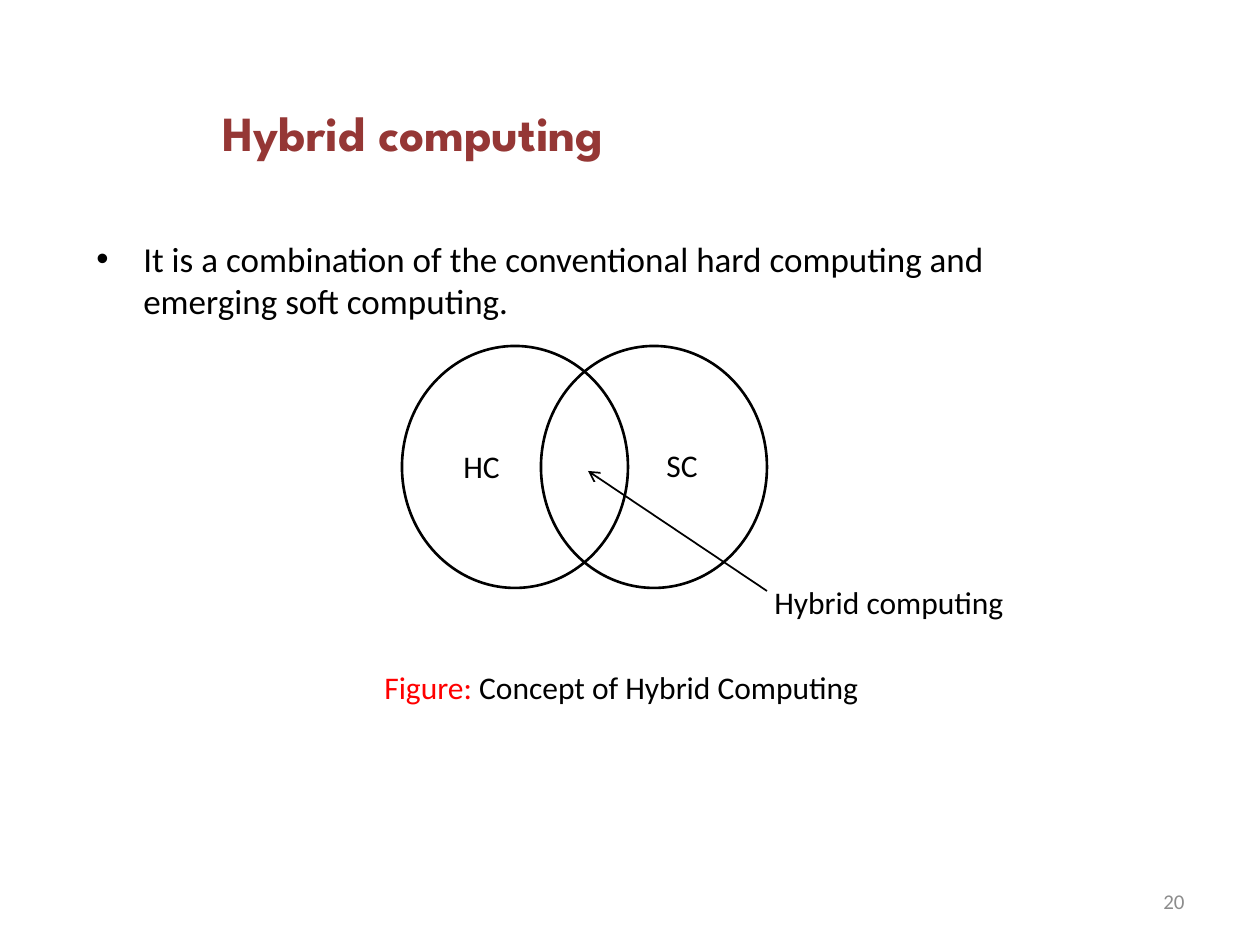
from dataclasses import dataclass
from lxml.etree import SubElement
from pptx import Presentation
from pptx.dml.color import RGBColor
from pptx.enum.shapes import MSO_CONNECTOR, MSO_SHAPE
from pptx.enum.text import MSO_ANCHOR, MSO_AUTO_SIZE, PP_ALIGN
from pptx.oxml.ns import qn
from pptx.util import Emu, Pt


@dataclass(frozen=True)
class Theme:
    ink: str = "000000"
    title: str = "953735"
    mark: str = "FF0000"
    mute: str = "8C8C8C"
    head: str = "League Spartan"
    body: str = "Calibri"
    big: int = 28
    mid: int = 20
    base: int = 18
    tiny: int = 12
    ring: float = 1.5
    thin: float = 1


LOOK = Theme()


def px(count):
    return Emu(round(count * 914400 / 126))


def apply(item, form):
    for name, value in form.items():
        setattr(item, name, value)


def place(shape, box):
    names = ("left", "top", "width", "height")
    apply(shape, dict(zip(names, map(px, box))))


def write(shape, runs, size, font=LOOK.body, bold=False,
          align=PP_ALIGN.LEFT, anchor=MSO_ANCHOR.TOP):
    frame = shape.text_frame
    apply(frame, {"word_wrap": True, "auto_size": MSO_AUTO_SIZE.NONE,
                  "vertical_anchor": anchor})
    para = frame.paragraphs[0]
    para.alignment = align
    for text, color in runs:
        run = para.add_run()
        run.text = text
        apply(run.font, {"name": font, "size": Pt(size), "bold": bold})
        run.font.color.rgb = RGBColor.from_string(color)
    return para


def label(slide, box, runs, size=LOOK.base, **form):
    shape = slide.shapes.add_textbox(*map(px, box))
    return write(shape, runs, size, **form)


def stroke(shape, width):
    shape.line.color.rgb = RGBColor.from_string(LOOK.ink)
    shape.line.width = Pt(width)


def heading(slide, box):
    title = slide.shapes.title
    place(title, box)
    write(title, [("Hybrid computing", LOOK.title)], LOOK.big,
          font=LOOK.head, bold=True)


def bullet(slide, box):
    text = ("It is a combination of the conventional hard computing and "
            "emerging soft computing.")
    para = label(slide, box, [(text, LOOK.ink)], LOOK.mid)
    props = para._p.get_or_add_pPr()
    props.set("marL", str(px(47)))
    props.set("indent", str(-px(47)))
    SubElement(props, qn("a:buFont"), typeface="Arial")
    SubElement(props, qn("a:buChar"), char="•")


def arrow(slide, start, end):
    line = slide.shapes.add_connector(
        MSO_CONNECTOR.STRAIGHT, *map(px, start + end))
    stroke(line, LOOK.thin)
    SubElement(line.line._get_or_add_ln(), qn("a:tailEnd"), type="arrow")
    SubElement(line._element.spPr, qn("a:effectLst"))


def venn(slide, box):
    left, top, width, height = box
    wide = 226
    for shift in (0, width - wide):
        ring = slide.shapes.add_shape(
            MSO_SHAPE.OVAL, *map(px, (left + shift, top, wide, height)))
        ring.shadow.inherit = False
        ring.fill.background()
        stroke(ring, LOOK.ring)
    for text, across, down in (("HC", 49, 95), ("SC", 252, 94)):
        label(slide, (left + across, top + down, 64, 53), [(text, LOOK.ink)])
    arrow(slide, (left + width, top + height + 3), (left + 186, top + 125))
    label(slide, (left + width - 5, top + height - 11, 262, 50),
          [("Hybrid computing", LOOK.ink)])


def caption(slide, box):
    runs = [("Figure: ", LOOK.mark),
            ("Concept of Hybrid Computing", LOOK.ink)]
    label(slide, box, runs, align=PP_ALIGN.CENTER)


def number(slide, box):
    label(slide, box, [("20", LOOK.mute)], LOOK.tiny,
          align=PP_ALIGN.RIGHT, anchor=MSO_ANCHOR.MIDDLE)


def main():
    deck = Presentation()
    apply(deck, {"slide_width": px(1260), "slide_height": px(945)})
    slide = deck.slides.add_slide(deck.slide_layouts[5])
    number(slide, (903, 876, 294, 50))
    heading(slide, (210, 96, 651, 72))
    bullet(slide, (84, 231, 998, 97))
    venn(slide, (402, 346, 365, 242))
    caption(slide, (280, 662, 683, 50))
    deck.save("out.pptx")


if __name__ == "__main__":
    main()
